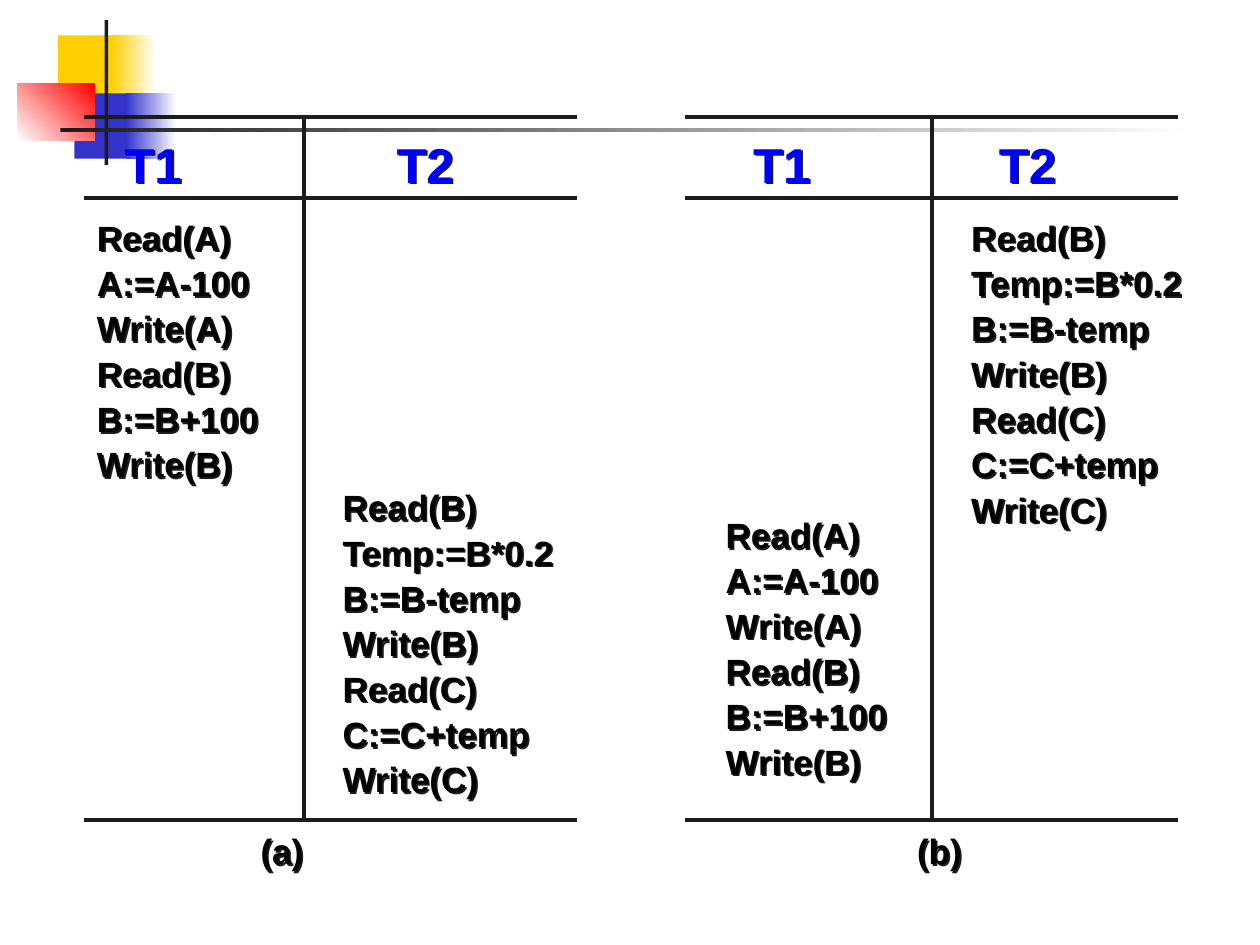
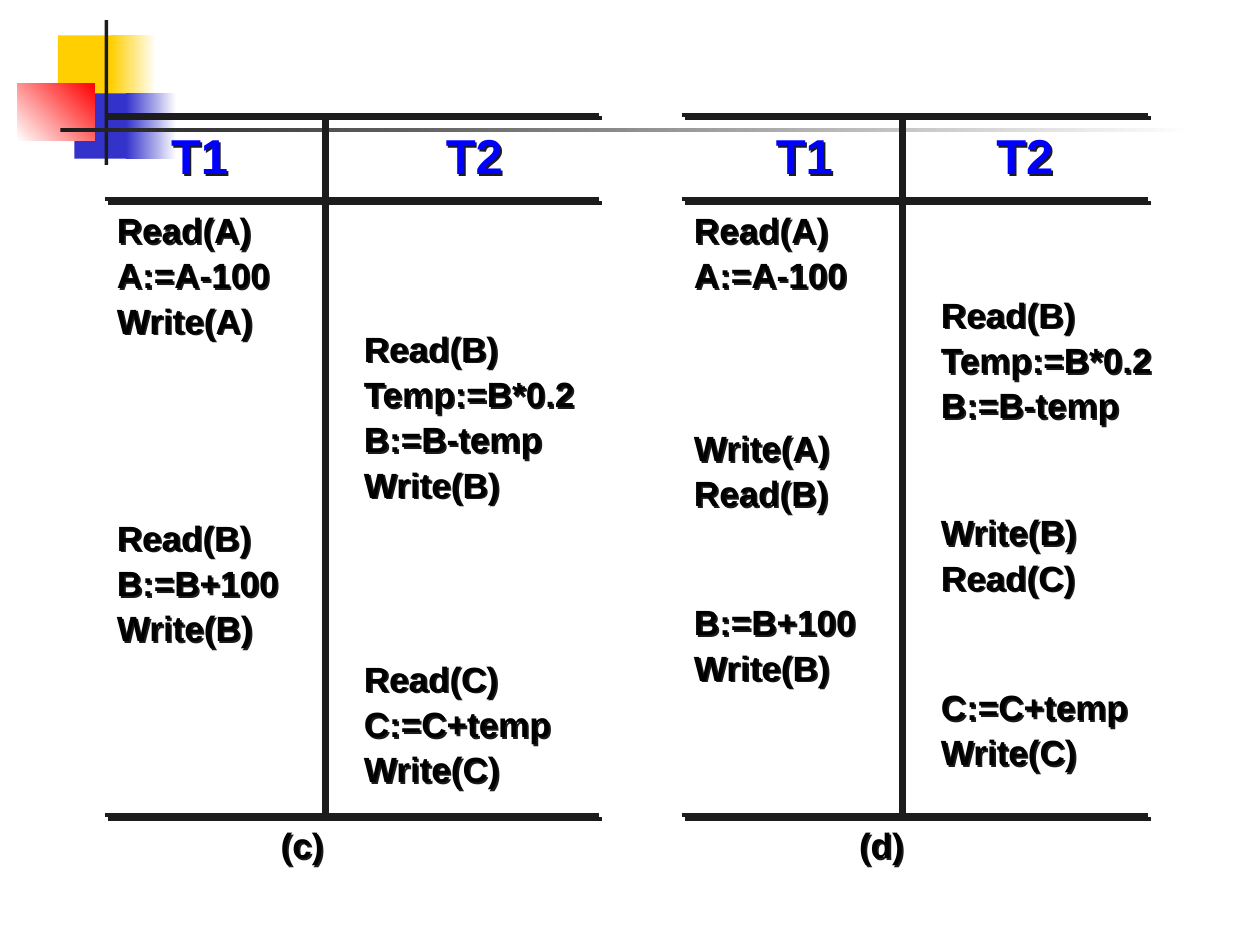
from lxml.etree import SubElement
from pptx import Presentation
from pptx.dml.color import RGBColor
from pptx.enum.shapes import MSO_CONNECTOR as Connector, MSO_SHAPE as Shape
from pptx.enum.text import MSO_ANCHOR as Anchor, PP_ALIGN as Align
from pptx.oxml.ns import qn
from pptx.util import Inches, Pt

WHITE = RGBColor(0xFF, 0xFF, 0xFF)
BLACK = RGBColor(0x00, 0x00, 0x00)
INK = RGBColor(0x1C, 0x1C, 0x1C)
BLUE = RGBColor(0x00, 0x00, 0xFF)
GOLD = RGBColor(0xFF, 0xCF, 0x01)
INDIGO = RGBColor(0x33, 0x33, 0xCC)
RED = RGBColor(0xFF, 0x00, 0x00)

COLUMNS, ROWS = 100, 75
LINE_STEP = 3.46

DECORATION = [
    (4.6, 2.8, 4.8, 5.2, GOLD, None, 0),
    (8.8, 2.8, 3.6, 5.2, GOLD, WHITE, 0),
    (5.9, 7.4, 4.6, 5.2, INDIGO, None, 0),
    (10, 7.4, 4, 5.2, INDIGO, WHITE, 0),
    (1.4, 6.6, 6.1, 4.6, WHITE, RED, 45),
    (8.3, 1.6, 0.3, 11.5, INK, None, 0),
    (4.8, 10.2, 90, 0.3, INK, WHITE, 0),
]

TRANSFER = ["Read(A)", "A:=A-100", "Write(A)", "Read(B)", "B:=B+100", "Write(B)"]
SHARE = ["Read(B)", "Temp:=B*0.2", "B:=B-temp", "Write(B)",
         "Read(C)", "C:=C+temp", "Write(C)"]


def write_text(box, lines, size=20, color=BLACK, spacing=1.08):
    frame = box.text_frame
    frame.word_wrap = True
    frame.vertical_anchor = Anchor.TOP
    for index, line in enumerate(lines):
        para = frame.add_paragraph() if index else frame.paragraphs[0]
        para.alignment = Align.JUSTIFY
        para.line_spacing = spacing
        span = para.add_run()
        span.text = line
        span.font.name = "Arial"
        span.font.size = Pt(size)
        span.font.bold = True
        span.font.color.rgb = color


class ScheduleDeck:
    def __init__(self):
        self.deck = Presentation()
        self.deck.slide_width = Inches(10)
        self.deck.slide_height = Inches(7.5)
        self.page = None

    def across(self, columns):
        return round(self.deck.slide_width * columns / COLUMNS)

    def down(self, rows):
        return round(self.deck.slide_height * rows / ROWS)

    def place(self, left, top, width, height):
        return (self.across(left), self.down(top),
                self.across(width), self.down(height))

    def effects(self, element, distance=0):
        effects = SubElement(element.spPr, qn("a:effectLst"))
        if distance:
            shadow = SubElement(effects, qn("a:outerShdw"), dist=str(Pt(distance)),
                                dir="2700000", algn="ctr", rotWithShape="0")
            SubElement(shadow, qn("a:srgbClr"), val=str(INK))

    def add_page(self):
        self.page = self.deck.slides.add_slide(self.deck.slide_layouts[6])
        for block in DECORATION:
            self.add_block(*block)

    def add_block(self, left, top, width, height, start, end, angle):
        block = self.page.shapes.add_shape(
            Shape.RECTANGLE, *self.place(left, top, width, height))
        block.shadow.inherit = False
        block.line.fill.background()
        if end is None:
            block.fill.solid()
            block.fill.fore_color.rgb = start
            return
        block.fill.gradient()
        block.fill.gradient_angle = angle
        for stop, color in zip(block.fill.gradient_stops, (start, end)):
            stop.color.rgb = color

    def add_text(self, left, top, width, height, lines, **style):
        box = self.page.shapes.add_textbox(*self.place(left, top, width, height))
        write_text(box, lines, **style)
        self.effects(box.element, 1.4)

    def add_rule(self, left, top, right, bottom, shadow):
        rule = self.page.shapes.add_connector(
            Connector.STRAIGHT, self.across(left), self.down(top),
            self.across(right), self.down(bottom))
        rule.line.color.rgb = INK
        rule.line.width = Pt(2.25)
        self.effects(rule.element, shadow)

    def add_frame(self, left, divider, right, levels, shadow=0):
        for level in levels:
            self.add_rule(left, level, right, level, shadow)
        self.add_rule(divider, levels[0], divider, levels[-1], shadow)

    def add_headings(self, lefts, top, spacing):
        for name, left in zip(("T1", "T2"), lefts):
            self.add_text(left, top, 8.7, 5.2, [name],
                          size=28, color=BLUE, spacing=spacing)

    def add_steps(self, left, top, width, lines, skipped=0):
        self.add_text(left, top + skipped * LINE_STEP, width,
                      len(lines) * LINE_STEP + 3, lines)


def build_serial(deck):
    deck.add_page()
    for left, divider, right, headings, label, label_left in (
            (6.7, 24.1, 45.8, (8.9, 30.5), "(a)", 19.7),
            (54.4, 74, 93.5, (58.8, 78.3), "(b)", 71.8)):
        deck.add_frame(left, divider, right, (9.3, 15.7, 65.1))
        deck.add_headings(headings, 10.6, 0.92)
        deck.add_text(label_left, 65.7, 8.7, 6.4, [label], spacing=0.92)
    deck.add_steps(6.7, 16.4, 15.2, TRANSFER)
    deck.add_steps(26.2, 37.8, 19.5, SHARE)
    deck.add_steps(56.6, 40, 15.2, TRANSFER)
    deck.add_steps(76.1, 16.4, 19.5, SHARE)


def build_interleaved(deck):
    deck.add_page()
    for left, divider, right, headings, label, label_left in (
            (8.3, 25.7, 47.5, (12.6, 34.4), "(c)", 21.3),
            (54.1, 71.5, 91.1, (60.6, 78.1), "(d)", 67.2)):
        deck.add_frame(left, divider, right, (9.1, 15.8, 64.7), shadow=2.8)
        deck.add_headings(headings, 9.1, 1.08)
        deck.add_text(label_left, 64.6, 12, 6.8, [label])
    deck.add_steps(8.3, 15.8, 15.3, TRANSFER[:3])
    deck.add_steps(27.9, 25.2, 19.6, SHARE[:4])
    deck.add_steps(8.3, 40.2, 15.3, TRANSFER[3:])
    deck.add_steps(27.9, 51.4, 17.4, SHARE[4:])
    for left, top, width, lines, cuts in (
            (54.1, 15.8, 15.3, TRANSFER, ((0, 2, 0), (2, 4, 5), (4, 6, 9))),
            (73.7, 22.5, 19.6, SHARE, ((0, 3, 0), (3, 5, 5), (5, 7, 9)))):
        for first, last, skipped in cuts:
            deck.add_steps(left, top, width, lines[first:last], skipped)


def main():
    schedules = ScheduleDeck()
    build_serial(schedules)
    build_interleaved(schedules)
    schedules.deck.save("out.pptx")


if __name__ == "__main__":
    main()
